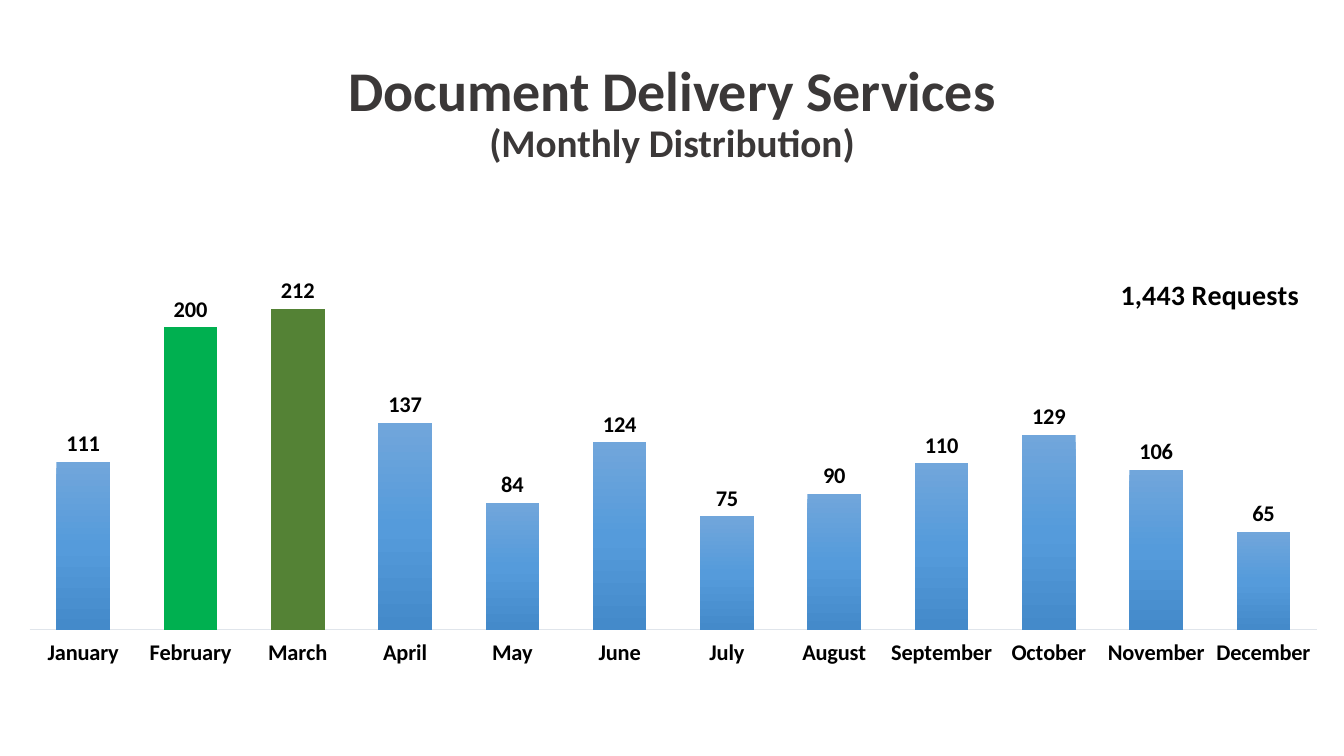
from pptx import Presentation
from pptx.chart.data import CategoryChartData
from pptx.dml.color import RGBColor
from pptx.enum.chart import XL_CHART_TYPE as ChartType, XL_LABEL_POSITION as LabelPosition
from pptx.enum.chart import XL_TICK_LABEL_POSITION as TickLabels, XL_TICK_MARK as TickMark
from pptx.enum.text import MSO_ANCHOR as Anchor, PP_ALIGN as Align
from pptx.oxml import parse_xml
from pptx.oxml.ns import nsdecls
from pptx.util import Cm, Pt

COLORS = {
    "title": "3B3838", "text": "000000", "axis": "E0E5EB",
    "February": "00B050", "March": "548235",
    "top": "71A6DB", "middle": "559BDB", "bottom": "448ACA",
}
REQUESTS = {
    "January": 111, "February": 200, "March": 212, "April": 137,
    "May": 84, "June": 124, "July": 75, "August": 90,
    "September": 110, "October": 129, "November": 106, "December": 65,
}


def color(name):
    """Return the named colour."""
    return RGBColor.from_string(COLORS[name])


def set_attributes(target, values):
    """Set every attribute of the target from a dict."""
    for name, value in values.items():
        setattr(target, name, value)


def format_font(font, size, color_name="text"):
    """Apply the bold slide font."""
    set_attributes(font, {"name": "Calibri", "size": Pt(size), "bold": True})
    font.color.rgb = color(color_name)


def manual_layout(x, y, width=None, height=None):
    """Build a chart layout from fractions of the chart area."""
    target = '<c:layoutTarget val="inner"/>' if width else ""
    modes = '<c:xMode val="edge"/><c:yMode val="edge"/>'
    values = {"x": x, "y": y, "w": width, "h": height}
    places = "".join(f'<c:{key} val="{value}"/>' for key, value in values.items() if value)
    return parse_xml(f'<c:layout {nsdecls("c")}><c:manualLayout>{target}{modes}{places}'
                     "</c:manualLayout></c:layout>")


def place(element, layout):
    """Give a chart element its layout in place of any earlier one."""
    for earlier in element.xpath("c:layout"):
        element.remove(earlier)
    texts = element.xpath("c:tx")
    element.insert(len(texts), layout)


def add_title(slide, lines):
    """Add the centred title, one run per line."""
    box = slide.shapes.add_textbox(Cm(2.33), Cm(1.04), Cm(29.21), Cm(3.68))
    set_attributes(box.text_frame, {"word_wrap": True, "vertical_anchor": Anchor.MIDDLE})
    paragraph = box.text_frame.paragraphs[0]
    set_attributes(paragraph, {"alignment": Align.CENTER, "line_spacing": 0.9})
    for index, (text, size) in enumerate(lines):
        if index:
            paragraph.add_line_break()
        run = paragraph.add_run()
        run.text = text
        format_font(run.font, size, "title")


def fill_columns(series):
    """Shade the columns and highlight the busiest months."""
    stops = "".join(f'<a:gs pos="{position}"><a:srgbClr val="{COLORS[name]}"/></a:gs>'
                    for position, name in ((0, "top"), (50000, "middle"), (100000, "bottom")))
    gradient = parse_xml(f'<a:gradFill {nsdecls("a")}><a:gsLst>{stops}</a:gsLst>'
                         '<a:lin ang="5400000" scaled="0"/></a:gradFill>')
    series.invert_if_negative = False
    series._element.get_or_add_spPr().append(gradient)
    for index, month in enumerate(REQUESTS):
        if month in COLORS:
            fill = series.points[index].format.fill
            fill.solid()
            fill.fore_color.rgb = color(month)


def format_axes(chart, total):
    """Style the month axis with its total and hide the value axis."""
    months = chart.category_axis
    set_attributes(months, {"major_tick_mark": TickMark.NONE, "minor_tick_mark": TickMark.NONE,
                            "tick_label_position": TickLabels.LOW,
                            "has_major_gridlines": False})
    format_font(months.tick_labels.font, 16)
    months.format.line.color.rgb = color("axis")
    months.format.line.width = Pt(0.75)
    frame = months.axis_title.text_frame
    frame.text = total
    format_font(frame.paragraphs[0].runs[0].font, 20)
    place(months.axis_title._element, manual_layout(0.83, 0.08))
    set_attributes(chart.value_axis, {"visible": False, "has_major_gridlines": False,
                                      "minimum_scale": 0, "maximum_scale": 250})


def add_request_chart(slide, width):
    """Add the column chart of monthly requests."""
    data = CategoryChartData()
    data.categories = list(REQUESTS)
    data.add_series("Series 1", list(REQUESTS.values()))
    chart = slide.shapes.add_chart(ChartType.COLUMN_CLUSTERED, Cm(0), Cm(5.72),
                                   width, Cm(13.61), data).chart
    set_attributes(chart, {"has_title": False, "has_legend": False})
    set_attributes(chart.font, {"name": "Calibri", "size": Pt(10)})
    chart.font.color.rgb = color("text")
    plot = chart.plots[0]
    set_attributes(plot, {"gap_width": 100, "overlap": -24, "vary_by_categories": False,
                          "has_data_labels": True})
    set_attributes(plot.data_labels, {"show_value": True, "position": LabelPosition.OUTSIDE_END})
    format_font(plot.data_labels.font, 16)
    fill_columns(plot.series[0])
    format_axes(chart, f"{sum(REQUESTS.values()):,} Requests")
    place(chart._chartSpace.chart.plotArea, manual_layout(0.022, 0.046, 0.958, 0.7))


def main():
    """Build and save the slide."""
    presentation = Presentation()
    set_attributes(presentation, {"slide_width": Cm(33.87), "slide_height": Cm(19.05)})
    slide = presentation.slides.add_slide(presentation.slide_layouts[6])
    add_title(slide, [("Document Delivery Services", 40), ("(Monthly Distribution)", 28)])
    add_request_chart(slide, presentation.slide_width)
    presentation.save("out.pptx")


if __name__ == "__main__":
    main()
